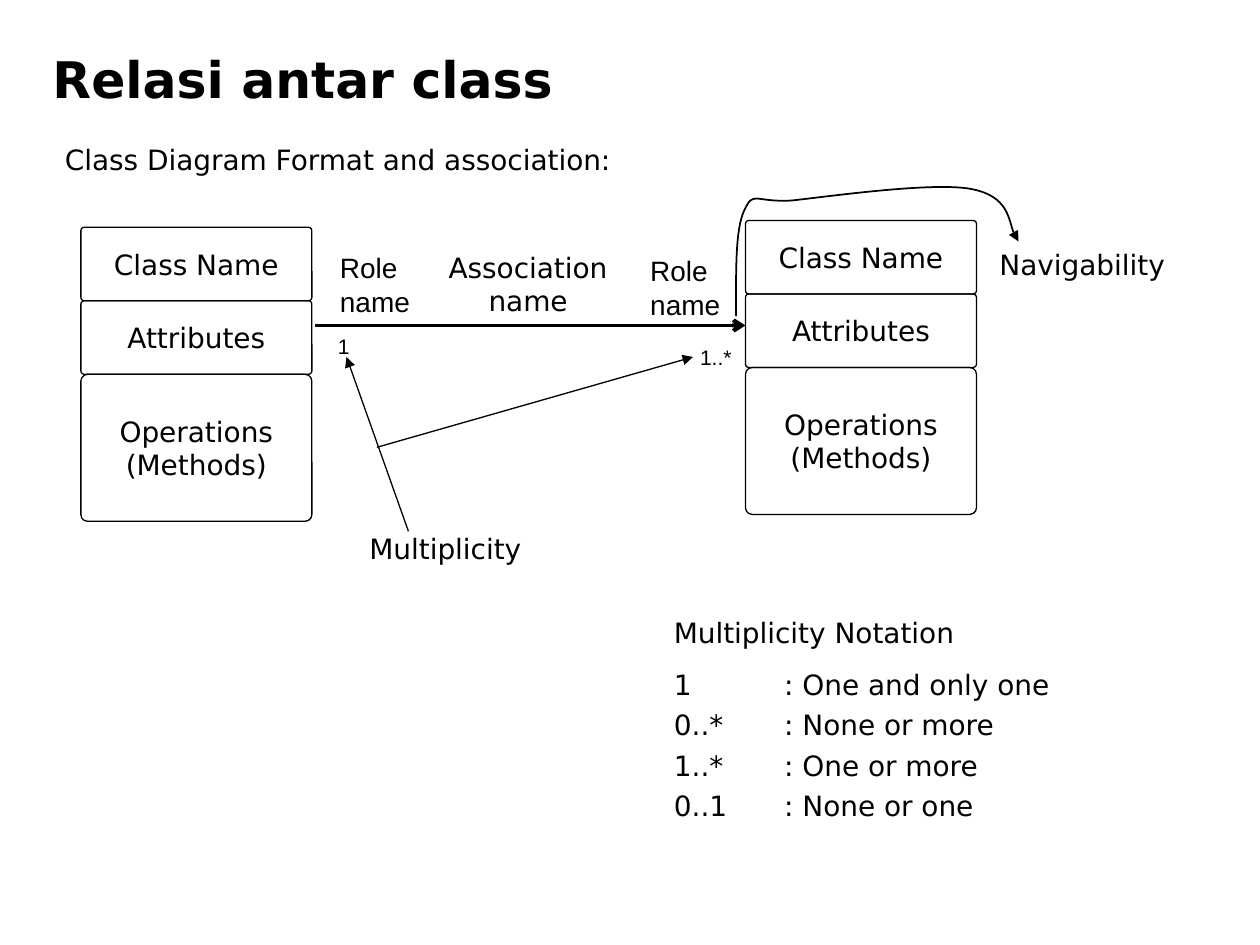
"""Build a slide that explains the association between two classes."""
import dataclasses
import itertools
from typing import Any

import lxml.etree
import pptx
import pptx.dml.color
import pptx.enum.shapes
import pptx.enum.text
import pptx.oxml.ns
import pptx.util

COLS, ROWS = 120, 90
HUES = {"ink": "000000"}
SANS, ARIAL = "DejaVu Sans", "Arial"
HANG = 4.5
ALIGN = pptx.enum.text.PP_ALIGN
ANCHOR = pptx.enum.text.MSO_ANCHOR
FIT = pptx.enum.text.MSO_AUTO_SIZE
KIND = pptx.enum.shapes.MSO_SHAPE
qn = pptx.oxml.ns.qn


@dataclasses.dataclass
class Box:
    left: float
    top: float
    width: float
    height: float


@dataclasses.dataclass
class Label:
    text: str
    box: Box
    size: float = 16
    face: str = SANS
    align: Any = ALIGN.LEFT
    hang: float = 0
    gap: float = 0


@dataclasses.dataclass
class Arrow:
    start: tuple[float, float]
    end: tuple[float, float]
    width: float = 0.75
    head: str = "triangle"


@dataclasses.dataclass
class Part:
    text: str
    height: float


PARTS = [Part("Class Name", 7), Part("Attributes", 7), Part("Operations\n(Methods)", 14)]
STACKS = [(7.7, 21.65), (71, 21)]
LABELS = [
    Label("Class Diagram Format and association:", Box(5, 13, 114, 8)),
    Label("Multiplicity", Box(34, 50, 20, 8)),
    Label("Association\nname", Box(41.2, 23.25, 18.2, 7), align=ALIGN.CENTER),
    Label("1\t\t: One and only one\n0..*\t: None or more\n1..*\t: One or more\n0..1\t: None or one",
          Box(63, 63, 51, 15), hang=HANG, gap=3.8),
    Label("Multiplicity Notation", Box(63, 58, 42, 5)),
    Label("1", Box(31, 31.2, 6, 3.6), 12, ARIAL),
    Label("1..*", Box(65.5, 32.2, 6, 3.6), 12, ARIAL),
    Label("Navigability", Box(94, 23, 20, 4.7)),
    Label("Role name", Box(31.2, 23.3, 13, 7.7), face=ARIAL),
    Label("Role name", Box(60.75, 23.6, 9.4, 7.7), face=ARIAL),
]
ARROWS = [
    Arrow((30, 31), (71, 31), 2.25, "arrow"),
    Arrow((38.9, 50.6), (33, 34)),
    Arrow((35.9, 42.6), (66, 34)),
]
CURVE = [
    (70.1, 30.1), (70.1, 26), (70, 21.8), (70.9, 20), (71.8, 18.1), (71.8, 19.3), (75.4, 19.1),
    (79, 18.7), (88.9, 17.3), (92.5, 18), (96.1, 18.7), (96.2, 22.2), (97, 23),
]

deck = pptx.Presentation()
deck.slide_width, deck.slide_height = pptx.util.Inches(10), pptx.util.Inches(7.5)


def col(n: float) -> int:
    """Turn grid columns into a length."""
    return round(deck.slide_width * n / COLS)


def row(n: float) -> int:
    """Turn grid rows into a length."""
    return round(deck.slide_height * n / ROWS)


def frame(box: Box) -> tuple[int, int, int, int]:
    """Give the left, top, width and height of a box."""
    return col(box.left), row(box.top), col(box.width), row(box.height)


def apply(target: Any, values: dict[str, Any]) -> None:
    """Set each format value on the target."""
    for name, value in values.items():
        setattr(target, name, value)


def ink() -> pptx.dml.color.RGBColor:
    """Give the colour of text and lines."""
    return pptx.dml.color.RGBColor.from_string(HUES["ink"])


def write(body: Any, label: Label, bold: bool = False, **style: Any) -> None:
    """Fill a text frame with the formatted label."""
    apply(body, {"word_wrap": True, "auto_size": FIT.NONE, **style})
    body.text = label.text
    for par in body.paragraphs:
        apply(par, {"alignment": label.align, "space_before": pptx.util.Pt(label.gap)})
        if label.hang:
            props = par._p.get_or_add_pPr()
            props.set("marL", str(col(label.hang)))
            props.set("indent", str(-col(label.hang)))
        for run in par.runs:
            apply(run.font, {"name": label.face, "size": pptx.util.Pt(label.size), "bold": bold})
            run.font.color.rgb = ink()


def stroke(shape: Any, width: float, head: str = "") -> None:
    """Draw the line of a shape, with an arrowhead if one is named."""
    shape.line.color.rgb = ink()
    shape.line.width = pptx.util.Pt(width)
    if head:
        line = shape.element.spPr.find(qn("a:ln"))
        lxml.etree.SubElement(line, qn("a:tailEnd")).set("type", head)


def stack(shapes: Any, left: float, top: float) -> None:
    """Draw one class as a pile of rounded boxes."""
    for part in PARTS:
        box = Box(left, top, 22, part.height)
        shape = shapes.add_shape(KIND.ROUNDED_RECTANGLE, *frame(box))
        shape.adjustments[0] = 0.046
        shape.shadow.inherit = False
        shape.fill.background()
        stroke(shape, 0.75)
        write(shape.text_frame, Label(part.text, box, align=ALIGN.CENTER),
              word_wrap=False, vertical_anchor=ANCHOR.MIDDLE)
        top += part.height


def link(shapes: Any, arrow: Arrow) -> None:
    """Draw a straight arrow."""
    (x, y), (u, v) = arrow.start, arrow.end
    kind = pptx.enum.shapes.MSO_CONNECTOR.STRAIGHT
    line = shapes.add_connector(kind, col(x), row(y), col(u), row(v))
    stroke(line, arrow.width, arrow.head)
    lxml.etree.SubElement(line.element.spPr, qn("a:effectLst"))


def bend(shapes: Any, points: list[tuple[float, float]]) -> None:
    """Draw a curved arrow from a start and triples of Bezier points."""
    first, *rest = [(col(x), row(y)) for x, y in points]
    pen = shapes.build_freeform(*first)
    pen.add_line_segments(rest, close=False)
    shape = pen.convert_to_shape()
    shape.shadow.inherit = False
    shape.fill.background()
    stroke(shape, 1, "triangle")
    steps = iter(list(shape.element.iter(qn("a:lnTo"))))
    while trio := list(itertools.islice(steps, 3)):
        cubic = lxml.etree.Element(qn("a:cubicBezTo"))
        trio[0].addprevious(cubic)
        for step in trio:
            cubic.append(step[0])
            step.getparent().remove(step)


def main() -> None:
    """Build and save the slide."""
    slide = deck.slides.add_slide(deck.slide_layouts[5])
    shapes, title = slide.shapes, slide.shapes.title
    box = Box(3.8, 4, 102, 7)
    apply(title, dict(zip(("left", "top", "width", "height"), frame(box))))
    write(title.text_frame, Label("Relasi antar class", box, 28.8), True,
          vertical_anchor=ANCHOR.MIDDLE)
    for left, top in STACKS:
        stack(shapes, left, top)
    for arrow in ARROWS:
        link(shapes, arrow)
    bend(shapes, CURVE)
    for label in LABELS:
        write(shapes.add_textbox(*frame(label.box)).text_frame, label)
    deck.save("out.pptx")


if __name__ == "__main__":
    main()
